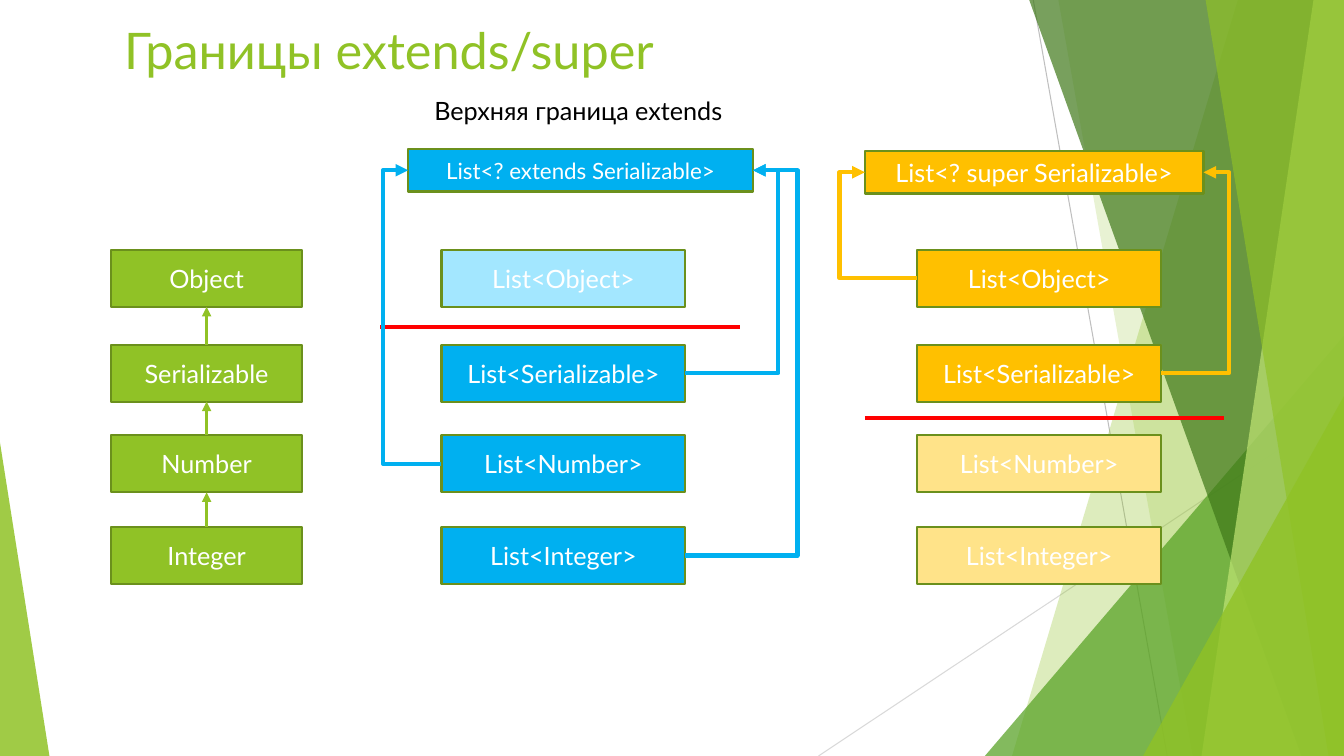
from dataclasses import dataclass
from itertools import pairwise
from typing import Any, NamedTuple

from lxml.etree import SubElement
from pptx import Presentation
from pptx.dml.color import RGBColor
from pptx.enum.shapes import MSO_CONNECTOR, MSO_SHAPE
from pptx.enum.text import MSO_ANCHOR, PP_ALIGN
from pptx.oxml.ns import qn
from pptx.shapes.autoshape import Shape
from pptx.shapes.connector import Connector
from pptx.util import Inches, Pt


@dataclass(frozen=True)
class Theme:
    font: str = "Lato"
    green: str = "90C226"
    leaf: str = "54A021"
    forest: str = "3F7819"
    lime: str = "C0E474"
    outline: str = "6B901C"
    blue: str = "00B0F0"
    pale_blue: str = "A3E7FF"
    orange: str = "FFC000"
    pale_orange: str = "FFE389"
    red: str = "FF0000"
    gray: str = "BFBFBF"
    light_gray: str = "D9D9D9"
    white: str = "FFFFFF"
    black: str = "000000"
    title_size: int = 36
    body_size: int = 18
    small_size: int = 16


class Area(NamedTuple):
    """Left, top, width and height as percentages of the slide."""
    left: float
    top: float
    width: float
    height: float


class Facet(NamedTuple):
    """A band from its slanted left edge to the right side of the slide."""
    top_x: float
    bottom_x: float
    color: str
    alpha: int


class Triangle(NamedTuple):
    area: Area
    apex: float
    color: str
    alpha: int


class Link(NamedTuple):
    row: int
    side: int
    reach: float


class Family(NamedTuple):
    heading: str
    heading_area: Area
    heading_size: int
    left: float
    colors: tuple[str, ...]
    line_color: str
    border: tuple[float, float, float]
    links: tuple[Link, ...]


THEME = Theme()
TOP, LEFT, BOTTOM, RIGHT = range(4)  # connection sites of a rectangle
CLASSES = ("Object", "Serializable", "Number", "Integer")
ROW_TOPS = (33.07, 45.6, 57.6, 69.73)
ROW_HEIGHT = 7.53
CLASS_LEFT, CLASS_WIDTH, LIST_WIDTH = 8.25, 14.25, 18.15
NEAR, FAR = 1.88, 3.3

FACETS = (Facet(92.1, 75.3, THEME.green, 30), Facet(78.75, 88.73, THEME.green, 20),
          Facet(76.58, 96.83, THEME.forest, 70), Facet(97.73, 89.4, THEME.lime, 70),
          Facet(89.7, 98.85, THEME.green, 65))
LOW_TRIANGLE = Triangle(Area(73.28, 44.4, 26.72, 55.6), 1, THEME.leaf, 72)
FRONT_TRIANGLES = (Triangle(Area(85.05, 52.4, 14.95, 47.6), 1, THEME.green, 80),
                   Triangle(Area(0, 58.53, 3.68, 41.47), 0, THEME.green, 85))
FAMILIES = (
    Family("List<? extends Serializable>", Area(30.38, 19.73, 25.65, 5.6), THEME.small_size,
           32.85, (THEME.pale_blue,) + (THEME.blue,) * 3, THEME.blue, (28.28, 55.05, 43.27),
           (Link(2, LEFT, NEAR), Link(1, RIGHT, NEAR), Link(3, RIGHT, FAR))),
    Family("List<? super Serializable>", Area(64.35, 20, 25.2, 5.6), THEME.body_size,
           68.25, (THEME.orange,) * 2 + (THEME.pale_orange,) * 2, THEME.orange,
           (64.35, 91.05, 55.33), (Link(0, LEFT, NEAR), Link(1, RIGHT, NEAR))),
)

deck = Presentation()
deck.slide_width, deck.slide_height = Inches(13.33), Inches(7.5)
page = deck.slides.add_slide(deck.slide_layouts[5])


def across(share: float) -> int:
    return round(deck.slide_width * share / 100)


def down(share: float) -> int:
    return round(deck.slide_height * share / 100)


def place(area: Area) -> tuple[int, int, int, int]:
    return across(area.left), down(area.top), across(area.width), down(area.height)


def assign(target: Any, values: dict[str, Any]) -> None:
    for name, value in values.items():
        setattr(target, name, value)


def write(box: Any, text: str, size: int, color: str, frame_format: dict[str, Any],
          align: PP_ALIGN = PP_ALIGN.LEFT) -> None:
    assign(box.text_frame, frame_format)
    para = box.text_frame.paragraphs[0]
    para.alignment = align
    span = para.add_run()
    span.text = text
    assign(span.font, {"name": THEME.font, "size": Pt(size), "bold": False})
    span.font.color.rgb = RGBColor.from_string(color)


def paint(shape: Shape, color: str, alpha: int = 100) -> None:
    shape.shadow.inherit = False
    shape.fill.solid()
    shape.fill.fore_color.rgb = RGBColor.from_string(color)
    shape.line.fill.background()
    if alpha < 100:
        tint = shape.element.spPr.find(qn("a:solidFill"))[0]
        SubElement(tint, qn("a:alpha"), val=str(alpha * 1000))


def draw_facet(facet: Facet) -> None:
    builder = page.shapes.build_freeform(across(facet.top_x), 0)
    builder.add_line_segments([(across(100), 0), (across(100), down(100)),
                               (across(facet.bottom_x), down(100))])
    paint(builder.convert_to_shape(), facet.color, facet.alpha)


def draw_triangle(triangle: Triangle) -> None:
    shape = page.shapes.add_shape(MSO_SHAPE.ISOSCELES_TRIANGLE, *place(triangle.area))
    shape.adjustments[0] = triangle.apex
    paint(shape, triangle.color, triangle.alpha)


def draw_box(text: str, area: Area, color: str, size: int = THEME.body_size) -> Shape:
    box = page.shapes.add_shape(MSO_SHAPE.RECTANGLE, *place(area))
    paint(box, color)
    box.line.width = Pt(1.5)
    box.line.color.rgb = RGBColor.from_string(THEME.outline)
    write(box, text, size, THEME.white,
          {"word_wrap": True, "vertical_anchor": MSO_ANCHOR.MIDDLE}, PP_ALIGN.CENTER)
    return box


def draw_line(start: tuple[float, float], end: tuple[float, float], color: str, width: float,
              kind: MSO_CONNECTOR = MSO_CONNECTOR.STRAIGHT) -> Connector:
    line = page.shapes.add_connector(kind, across(start[0]), down(start[1]),
                                     across(end[0]), down(end[1]))
    line.line.width = Pt(width)
    line.line.color.rgb = RGBColor.from_string(color)
    SubElement(line.element.spPr, qn("a:effectLst"))
    return line


def draw_arrow(source: Shape, source_side: int, target: Shape, target_side: int, color: str,
               width: float, reach: float = 0) -> None:
    kind = MSO_CONNECTOR.ELBOW if reach else MSO_CONNECTOR.STRAIGHT
    arrow = draw_line((0, 0), (1, 1), color, width, kind)
    arrow.begin_connect(source, source_side)
    arrow.end_connect(target, target_side)
    SubElement(arrow.line._get_or_add_ln(), qn("a:tailEnd"), type="triangle")
    if reach:
        bend = arrow.end_x + across(reach) * (1 if target_side == RIGHT else -1)
        share = (bend - arrow.begin_x) / (arrow.end_x - arrow.begin_x)
        guides = arrow.element.spPr.find(qn("a:prstGeom")).get_or_add_avLst()
        SubElement(guides, qn("a:gd"), name="adj1", fmla=f"val {round(share * 100000)}")


# Background facets
draw_line((76.88, 0), (86.85, 100), THEME.gray, 0.75)
draw_line((100, 53.73), (60.9, 100), THEME.light_gray, 0.75)
for facet in FACETS[:2]:
    draw_facet(facet)
draw_triangle(LOW_TRIANGLE)
for facet in FACETS[2:]:
    draw_facet(facet)
for triangle in FRONT_TRIANGLES:
    draw_triangle(triangle)

# Title, in front of the facets
title = page.shapes.title
page.shapes.element.append(title.element)
assign(title, dict(zip(("left", "top", "width", "height"), place(Area(8.48, 1.87, 70.5, 19.2)))))
write(title, "Границы extends/super", THEME.title_size, THEME.green,
      {"word_wrap": True, "vertical_anchor": MSO_ANCHOR.TOP})

# Class hierarchy
classes = [draw_box(name, Area(CLASS_LEFT, top, CLASS_WIDTH, ROW_HEIGHT), THEME.green)
           for name, top in zip(CLASSES, ROW_TOPS)]
for parent, child in pairwise(classes):
    draw_arrow(child, TOP, parent, BOTTOM, THEME.green, 2.25)

# Bounded lists with their borders and links
for family in FAMILIES:
    heading = draw_box(family.heading, family.heading_area, family.line_color,
                       family.heading_size)
    lists = [draw_box(f"List<{name}>", Area(family.left, top, LIST_WIDTH, ROW_HEIGHT), color)
             for name, top, color in zip(CLASSES, ROW_TOPS, family.colors)]
    border_left, border_right, border_y = family.border
    draw_line((border_left, border_y), (border_right, border_y), THEME.red, 3)
    for link in family.links:
        draw_arrow(lists[link.row], link.side, heading, link.side, family.line_color, 3,
                   link.reach)

# Caption
caption = page.shapes.add_textbox(*place(Area(31.58, 12, 23.4, 5.33)))
write(caption, "Верхняя граница extends", THEME.body_size, THEME.black, {"word_wrap": False})

deck.save("out.pptx")
